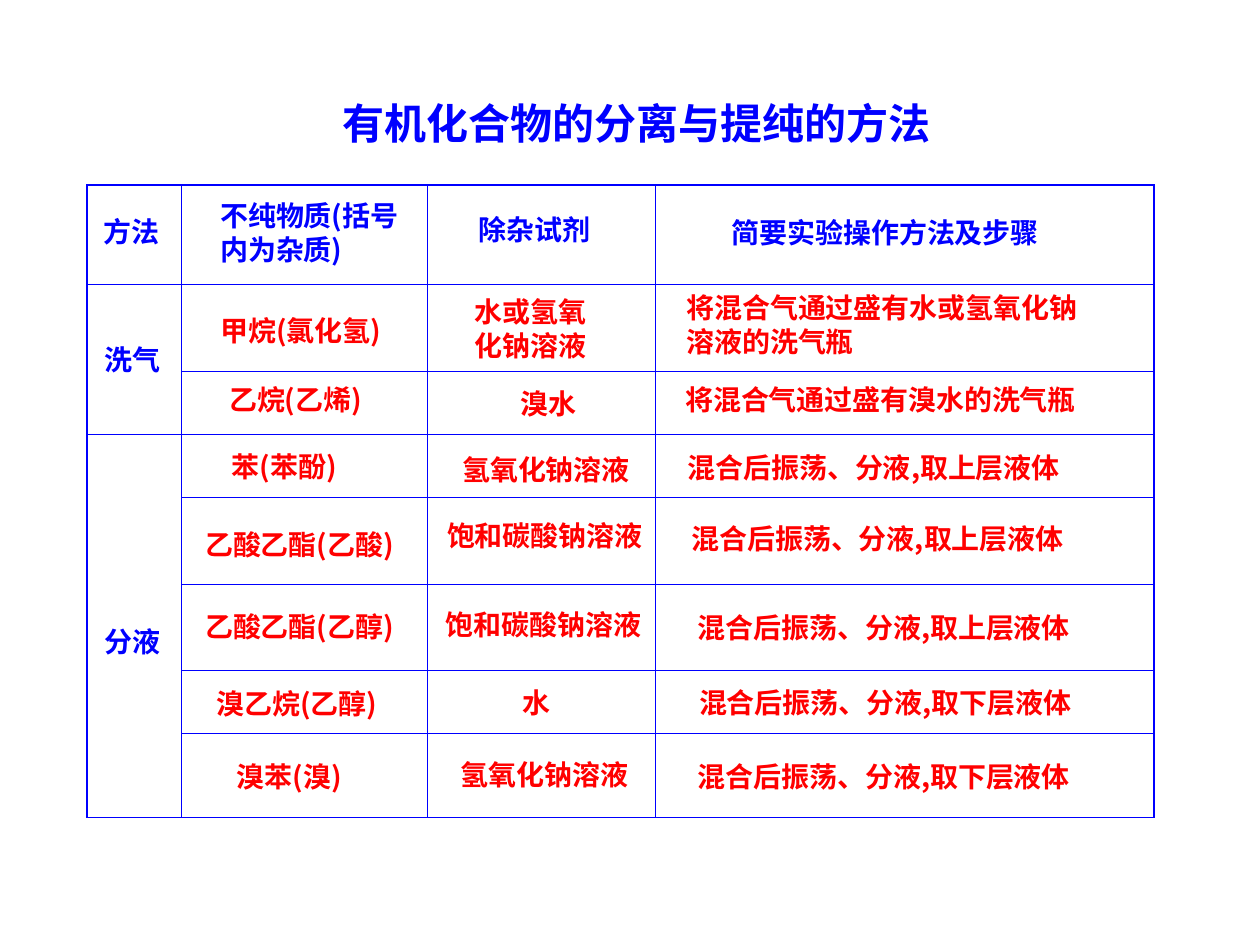
"""Build a slide on separating and purifying organic compounds."""
from dataclasses import dataclass

from lxml.etree import SubElement as Sub
from pptx import Presentation
from pptx.dml.color import RGBColor as Rgb
from pptx.enum.text import MSO_ANCHOR as Anchor, MSO_AUTO_SIZE as Auto, PP_ALIGN as Align
from pptx.oxml.ns import qn
from pptx.util import Emu, Pt


@dataclass(frozen=True)
class Theme:
    font: str = "Noto Sans CJK SC"
    blue: str = "0000FF"
    red: str = "FF0000"
    title: int = 24
    body: int = 16
    outer: float = 1.08
    inner: float = 0.45


LOOK = Theme()
PX = 9144
LINE, LOOSE, PAIR = 37, 45, 64

TITLE = ("有机化合物的分离与提纯的方法", 262, 72, 513, 50)
COLS = [75, 195, 181, 396]
ROWS = [79, 69, 50, 50, 69, 68, 50, 67]
LEFT, TOP = 69, 147
SPANS = [(1, 2), (3, 7)]

UPPER = "混合后振荡、分液,取上层液体"
LOWER = "混合后振荡、分液,取下层液体"
HEADS = [
    ("方法", 72, 165, 81, LINE),
    ("不纯物质(括号\n内为杂质)", 165, 153, 186, PAIR),
    ("除杂试剂", 370, 164, 116, LINE),
    ("简要实验操作方法及步骤", 571, 166, 303, LINE),
    ("洗气", 73, 267, 74, PAIR),
    ("分液", 73, 491, 73, LINE),
]
CELLS = [
    ("甲烷(氯化氢)", 165, 236, 165, LOOSE),
    ("水或氢氧\n化钠溶液", 367, 229, 119, PAIR),
    ("将混合气通过盛有水或氢氧化钠\n溶液的洗气瓶", 535, 226, 359, PAIR),
    ("乙烷(乙烯)", 172, 299, 151, LINE),
    ("溴水", 403, 302, 172, LINE),
    ("将混合气通过盛有溴水的洗气瓶", 534, 299, 382, LINE),
    ("苯(苯酚)", 174, 352, 125, LINE),
    ("氢氧化钠溶液", 357, 346, 175, LOOSE),
    (UPPER, 536, 353, 350, LINE),
    ("乙酸乙酯(乙酸)", 153, 406, 191, LOOSE),
    ("饱和碳酸钠溶液", 345, 407, 187, LINE),
    (UPPER, 539, 409, 348, LINE),
    ("乙酸乙酯(乙醇)", 153, 471, 194, LOOSE),
    ("饱和碳酸钠溶液", 344, 477, 200, LINE),
    (UPPER, 544, 480, 344, LINE),
    ("溴乙烷(乙醇)", 162, 532, 170, LOOSE),
    ("水", 405, 539, 61, LINE),
    (LOWER, 545, 539, 356, LINE),
    ("溴苯(溴)", 178, 590, 148, LOOSE),
    ("氢氧化钠溶液", 356, 596, 172, LINE),
    (LOWER, 544, 598, 353, LINE),
]


def px(*nums):
    return [Emu(n * PX) for n in nums]


def write(box, text, size, color, gap=1.0):
    frame = box.text_frame
    frame.text = text
    frame.word_wrap = True
    frame.auto_size = Auto.SHAPE_TO_FIT_TEXT
    frame.vertical_anchor = Anchor.TOP
    for para in frame.paragraphs:
        para.alignment = Align.LEFT
        para.line_spacing = gap
        for run in para.runs:
            font = run.font
            font.name, font.size, font.bold = LOOK.font, Pt(size), True
            font.color.rgb = Rgb.from_string(color)
            Sub(run._r.get_or_add_rPr(), qn("a:ea"), typeface=LOOK.font)


def label(slide, item, color):
    text, *place = item
    box = slide.shapes.add_textbox(*px(*place))
    write(box, text, LOOK.body, color, 1.3 if place[3] == LOOSE else 1.0)


def edge(props, side, width):
    line = Sub(props, qn("a:ln" + side), w=str(Pt(width)))
    fill = Sub(line, qn("a:solidFill"))
    Sub(fill, qn("a:srgbClr"), val=LOOK.blue)


def grid(slide):
    place = px(LEFT, TOP, sum(COLS), sum(ROWS))
    table = slide.shapes.add_table(len(ROWS), len(COLS), *place).table
    table.first_row = table.horz_banding = False
    for col, wide in zip(table.columns, px(*COLS)):
        col.width = wide
    for row, high in zip(table.rows, px(*ROWS)):
        row.height = high
    for first, last in SPANS:
        table.cell(first, 0).merge(table.cell(last, 0))
    for r in range(len(ROWS)):
        for c in range(len(COLS)):
            cell = table.cell(r, c)
            if not cell.is_spanned:
                end = r + (cell.span_height if cell.is_merge_origin else 1)
                rims = {"L": c == 0, "R": c + 1 == len(COLS),
                        "T": r == 0, "B": end == len(ROWS)}
                props = cell._tc.get_or_add_tcPr()
                for side, rim in rims.items():
                    edge(props, side, LOOK.outer if rim else LOOK.inner)
            cell.fill.background()


def main():
    deck = Presentation()
    deck.slide_width, deck.slide_height = px(1000, 750)
    slide = deck.slides.add_slide(deck.slide_layouts[5])
    grid(slide)
    text, *place = TITLE
    head = slide.shapes.title
    head.left, head.top, head.width, head.height = px(*place)
    write(head, text, LOOK.title, LOOK.blue)
    for items, color in ((HEADS, LOOK.blue), (CELLS, LOOK.red)):
        for item in items:
            label(slide, item, color)
    deck.save("out.pptx")


if __name__ == "__main__":
    main()
